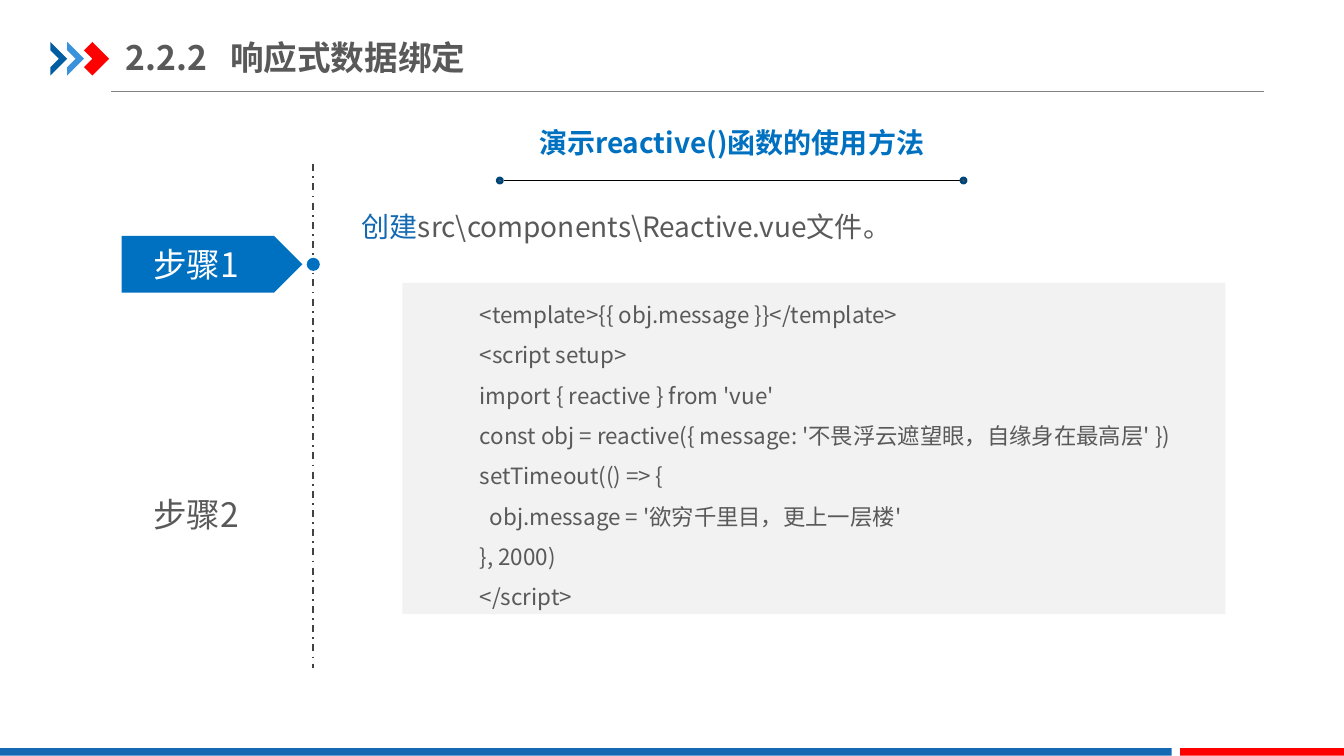
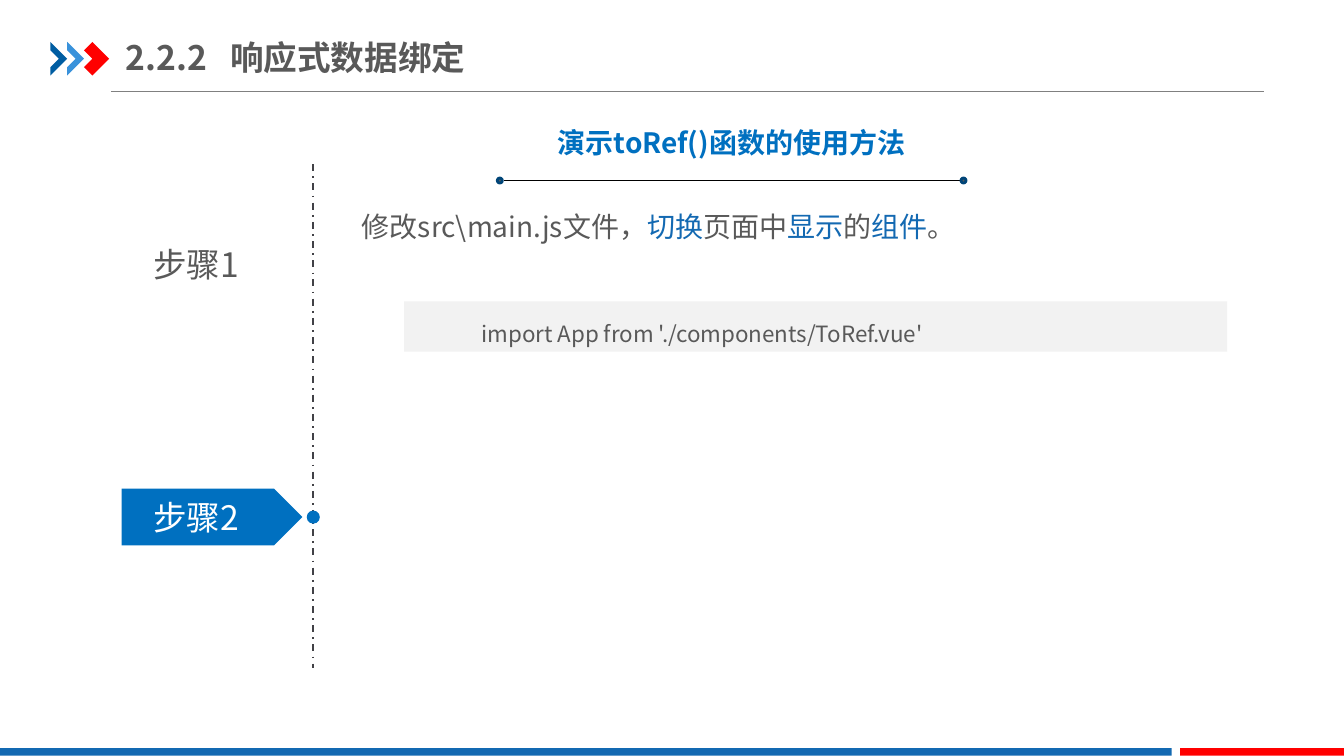
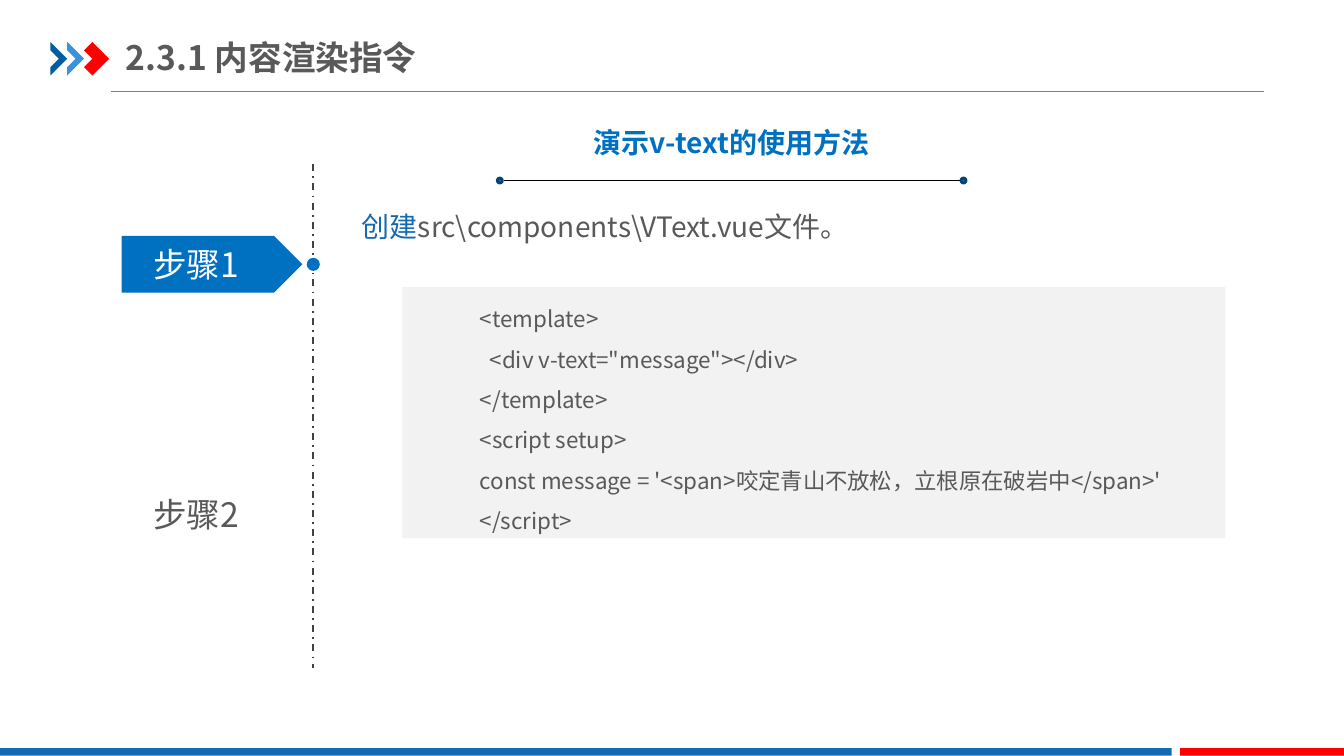
"""Three step-by-step slides about reactive data and content directives."""
from lxml.etree import SubElement
from pptx import Presentation
from pptx.dml.color import RGBColor
from pptx.enum.dml import MSO_LINE
from pptx.enum.shapes import MSO_CONNECTOR, MSO_SHAPE
from pptx.enum.text import MSO_ANCHOR, MSO_AUTO_SIZE, PP_ALIGN
from pptx.oxml.ns import qn
from pptx.util import Inches, Pt

HUE = {
    "navy": "005DA2", "sky": "3992DB", "red": "FF0000", "blue": "1369B2",
    "tag": "0070C0", "ring": "004578", "text": "595959", "white": "FFFFFF",
    "rule": "808080", "axis": "414146", "black": "000000", "pale": "F2F2F2",
}
FACE = "Noto Sans CJK SC"
GROW = {"word_wrap": True, "auto_size": MSO_AUTO_SIZE.SHAPE_TO_FIT_TEXT,
        "vertical_anchor": MSO_ANCHOR.TOP}

deck = Presentation()
deck.slide_width, deck.slide_height = Inches(13.33), Inches(7.5)
UNIT = deck.slide_width / 160

STYLE = {
    "title": {
        "frame": {"word_wrap": True, "vertical_anchor": MSO_ANCHOR.MIDDLE,
                  "margin_left": 0, "margin_right": 0,
                  "margin_top": Inches(0.07), "margin_bottom": Inches(0.07)},
        "para": {"alignment": PP_ALIGN.LEFT},
        "font": {"size": Pt(24), "bold": True, "name": FACE}},
    "head": {
        "frame": GROW,
        "para": {"alignment": PP_ALIGN.CENTER},
        "font": {"size": Pt(20), "bold": True, "name": FACE}},
    "step": {
        "frame": GROW,
        "para": {"alignment": PP_ALIGN.CENTER},
        "font": {"size": Pt(24), "name": FACE}},
    "body": {
        "frame": GROW,
        "para": {"alignment": PP_ALIGN.LEFT, "line_spacing": 1.5},
        "font": {"size": Pt(20), "name": FACE}},
    "code": {
        "frame": GROW,
        "para": {"alignment": PP_ALIGN.LEFT, "line_spacing": 1.5, "level": 1},
        "font": {"size": Pt(16), "name": FACE}},
}

LINES = [
    (13.2, 10.92, 150.5, 10.92, "rule", 0.75, None),
    (37.3, 19.56, 37.3, 79.56, "axis", 1.25, MSO_LINE.DASH_DOT),
    (60, 21.5, 114.3, 21.5, "black", 0.75, None),
]
BARS = [(0, 139.5, "blue"), (140.5, 19.5, "red")]
ARROW = [(0, 0.54), (0.6, 0), (2.4, 1.8), (0.6, 3.6), (0, 3), (1.3, 1.8)]
STEPS = [28.1, 58.2]

PAGES = [
    {"title": "2.2.2\t响应式数据绑定", "head": "演示reactive()函数的使用方法",
     "step": 0, "body": r"|创建|src\components\Reactive.vue文件。",
     "at": (47.9, 33.7),
     "code": ["<template>{{ obj.message }}</template>",
              "<script setup>",
              "import { reactive } from 'vue'",
              "const obj = reactive({ message: '不畏浮云遮望眼，自缘身在最高层' })",
              "setTimeout(() => {",
              "  obj.message = '欲穷千里目，更上一层楼'",
              "}, 2000)",
              "</script>"]},
    {"title": "2.2.2\t响应式数据绑定", "head": "演示toRef()函数的使用方法",
     "step": 1, "body": r"修改src\main.js文件，|切换|页面中|显示|的|组件|。",
     "at": (48.1, 35.9),
     "code": ["import App from './components/ToRef.vue'"]},
    {"title": "2.3.1 内容渲染指令", "head": "演示v-text的使用方法",
     "step": 0, "body": r"|创建|src\components\VText.vue文件。",
     "at": (47.9, 34.2),
     "code": ["<template>",
              "  <div v-text=\"message\"></div>",
              "</template>",
              "<script setup>",
              "const message = '<span>咬定青山不放松，立根原在破岩中</span>'",
              "</script>"]},
]


def draw(kind, at, fill):
    """Add a plain shape placed in grid units."""
    form = page.shapes.add_shape(kind, *[round(n * UNIT) for n in at])
    form.shadow.inherit = False
    form.fill.solid()
    form.fill.fore_color.rgb = RGBColor.from_string(HUE[fill])
    form.line.fill.background()
    return form


def write(rows, style, at=None, box=None, hues=("text", "blue")):
    """Write rows of text; each bar in a row switches the colour."""
    box = box or page.shapes.add_textbox(*[round(n * UNIT) for n in at])
    look, frame = STYLE[style], box.text_frame
    for key, val in look["frame"].items():
        setattr(frame, key, val)
    for i, row in enumerate(rows):
        para = frame.add_paragraph() if i else frame.paragraphs[0]
        for key, val in look["para"].items():
            setattr(para, key, val)
        props = para._p.get_or_add_pPr()
        if style == "code":
            props.set("marL", str(Inches(0.67)))
            props.set("indent", "0")
        if "\t" in row:
            tabs = SubElement(props, qn("a:tabLst"))
            SubElement(tabs, qn("a:tab"), pos=str(round(12.4 * UNIT)), algn="l")
        for j, part in enumerate(row.split("|")):
            if part:
                run = para.add_run()
                run.text = part
                for key, val in look["font"].items():
                    setattr(run.font, key, val)
                run.font.color.rgb = RGBColor.from_string(HUE[hues[j % 2]])
                run.font._element.find(qn("a:latin")).addnext(
                    run.font._element.makeelement(qn("a:ea"), {"typeface": FACE}))


for data in PAGES:
    page = deck.slides.add_slide(deck.slide_layouts[6])

    for x, y, right, low, hue, width, dash in LINES:
        line = page.shapes.add_connector(
            MSO_CONNECTOR.STRAIGHT, *[round(n * UNIT) for n in (x, y, right, low)])
        line.line.color.rgb = RGBColor.from_string(HUE[hue])
        line.line.width = Pt(width)
        line.line.dash_style = dash
        SubElement(line._element.spPr, qn("a:effectLst"))

    for i, hue in enumerate(["navy", "sky", "red"]):
        dots = [(5.64 + 2.25 * i + x, 5.16 + y) for x, y in ARROW]
        pen = page.shapes.build_freeform(*dots[0], scale=UNIT)
        pen.add_line_segments(dots[1:], close=True)
        mark = pen.convert_to_shape()
        mark.shadow.inherit = False
        mark.fill.solid()
        mark.fill.fore_color.rgb = RGBColor.from_string(HUE[hue])
        mark.line.fill.background()

    for x, width, hue in BARS:
        draw(MSO_SHAPE.RECTANGLE, (x, 89.1, width, 0.9), hue)

    for x in (59.2, 114.4):
        knob = draw(MSO_SHAPE.OVAL, (x, 21.2, 0.6, 0.6), "text")
        knob.line.color.rgb = RGBColor.from_string(HUE["ring"])
        knob.line.width = Pt(2)

    for i, top in enumerate(STEPS):
        live = i == data["step"]
        if live:
            draw(MSO_SHAPE.OVAL, (36.52, top + 2.6, 1.56, 1.56), "tag")
            draw(MSO_SHAPE.PENTAGON, (14.5, top, 21.5, 6.75), "tag")
        drop = 0.36 if live or i == 0 else 0
        write([f"步骤{i + 1}"], "step", (13.56, top + drop, 19.56, 6),
              hues=["white" if live else "text"])

    write([data["title"]], "title", (15, 3.5, 51.1, 6.6))
    write([data["head"]], "head", (59.2, 14.4, 55.8, 5.3), hues=["tag"])
    write([data["body"]], "body", (41.9, 22.3, 110.9, 7.3))
    rows = data["code"]
    card = draw(MSO_SHAPE.RECTANGLE,
                (*data["at"], 98, 1.2 + 4.78 * len(rows)), "pale")
    write(rows, "code", box=card)

deck.save("out.pptx")
